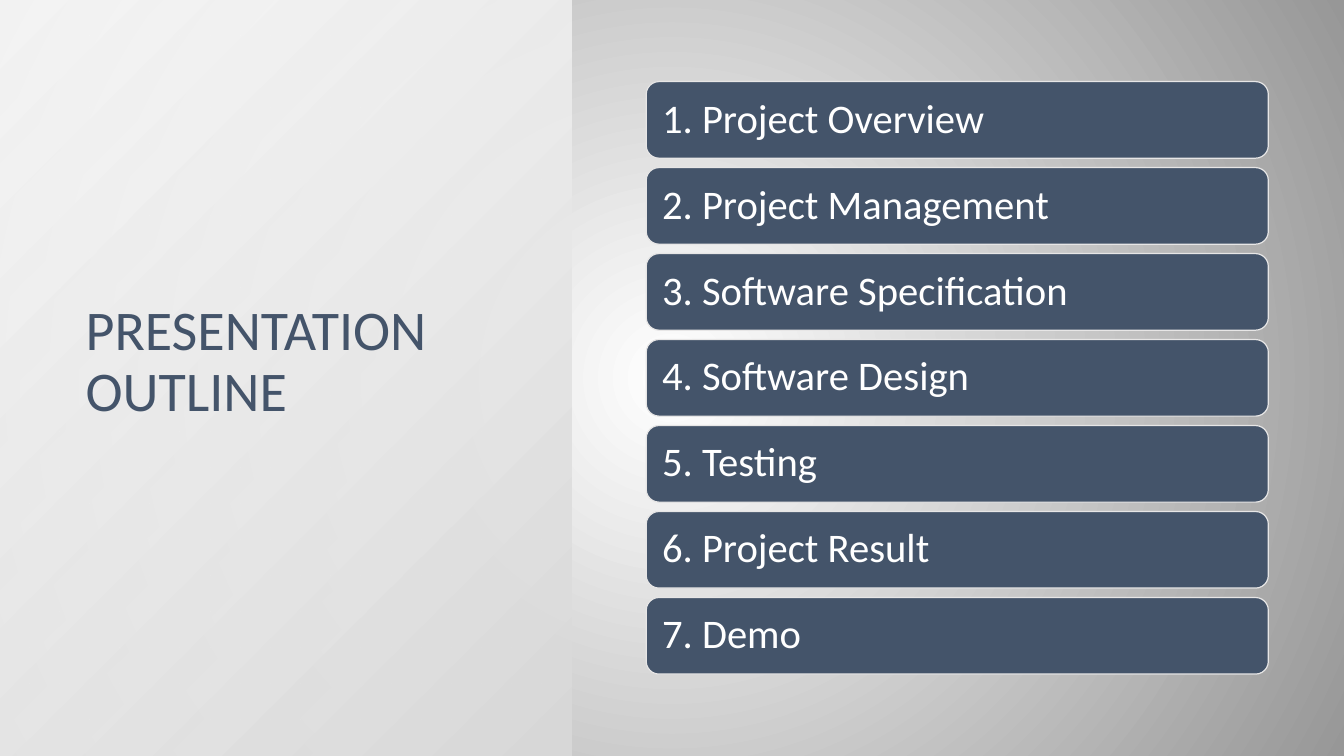
"""Build a presentation outline slide with a title panel and seven topic bars."""
import pptx
import pptx.dml.color
import pptx.enum.shapes
import pptx.enum.text
import pptx.oxml
import pptx.oxml.ns
import pptx.util
from pptx.util import Inches, Pt

NAVY, WHITE, PALE = "44546A", "FFFFFF", "E7E6E6"
TOPICS = ["Project Overview", "Project Management", "Software Specification",
          "Software Design", "Testing", "Project Result", "Demo"]
BAR_LEFT, BAR_TOP, BAR_WIDTH, BAR_HEIGHT, BAR_PITCH = 6.41, 0.81, 6.17, 0.76, 0.853


def color(value):
    """Turn a hex string into an RGB colour."""
    return pptx.dml.color.RGBColor.from_string(value)


def set_radial(element, stops, focus):
    """Replace the first solid fill in an element by a circular gradient."""
    marks = "".join(
        f'<a:gs pos="{pos * 1000}"><a:srgbClr val="{rgb}">'
        f'<a:alpha val="{alpha * 1000}"/></a:srgbClr></a:gs>'
        for pos, rgb, alpha in stops)
    sides = " ".join(f'{side}="{share * 1000}"' for side, share in zip("ltrb", focus))
    grad = pptx.oxml.parse_xml(
        f'<a:gradFill {pptx.oxml.ns.nsdecls("a")} rotWithShape="1"><a:gsLst>{marks}</a:gsLst>'
        f'<a:path path="circle"><a:fillToRect {sides}/></a:path></a:gradFill>')
    solid = next(element.iter(pptx.oxml.ns.qn("a:solidFill")))
    solid.getparent().replace(solid, grad)


def write_text(sp, text, size, rgb, anchor, inset):
    """Fill a shape with one left-aligned paragraph."""
    tf = sp.text_frame
    tf.word_wrap = True
    tf.auto_size = pptx.enum.text.MSO_AUTO_SIZE.NONE
    tf.vertical_anchor = anchor
    tf.margin_left = tf.margin_right = Inches(inset)
    p = tf.paragraphs[0]
    p.text = text
    p.alignment = pptx.enum.text.PP_ALIGN.LEFT
    p.line_spacing = 0.9
    p.font.name, p.font.size, p.font.color.rgb = "Calibri", Pt(size), color(rgb)


def add_block(s, kind, box, fill):
    """Add a plain filled shape without shadow or outline."""
    sp = s.shapes.add_shape(kind, *map(Inches, box))
    sp.shadow.inherit = False
    sp.fill.solid()
    sp.fill.fore_color.rgb = color(fill)
    sp.line.fill.background()
    return sp


def add_panel(s, height):
    """Add the light panel behind the title."""
    sp = add_block(s, pptx.enum.shapes.MSO_SHAPE.RECTANGLE, (0, 0, 5.67, height), WHITE)
    set_radial(sp._element, [(0, "D9D9D9", 100), (100, WHITE, 89)], (100, 100, 0, 0))
    s.shapes._spTree.insert(2, sp._element)


def add_bar(s, row, topic):
    """Add one numbered topic bar in the given row."""
    box = (BAR_LEFT, BAR_TOP + row * BAR_PITCH, BAR_WIDTH, BAR_HEIGHT)
    sp = add_block(s, pptx.enum.shapes.MSO_SHAPE.ROUNDED_RECTANGLE, box, NAVY)
    sp.line.color.rgb = color(PALE)
    sp.line.width = Pt(0.85)
    write_text(sp, f"{row + 1}. {topic}", 29, WHITE,
               pptx.enum.text.MSO_ANCHOR.MIDDLE, 0.12)


def set_title(s, text):
    """Place and format the slide title."""
    sp = s.shapes.title
    sp.left, sp.top, sp.width, sp.height = map(Inches, (0.75, 0.75, 4.25, 3.5))
    write_text(sp, text, 40, NAVY, pptx.enum.text.MSO_ANCHOR.BOTTOM, 0.1)


def main():
    """Build and save the slide."""
    prs = pptx.Presentation()
    prs.slide_width, prs.slide_height = Inches(13.33), Inches(7.5)
    s = prs.slides.add_slide(prs.slide_layouts[5])
    s.background.fill.solid()
    s.background.fill.fore_color.rgb = color(WHITE)
    set_radial(s._element, [(0, WHITE, 100), (100, "979797", 100)], (50, 50, 50, 50))
    add_panel(s, 7.5)
    set_title(s, "PRESENTATION OUTLINE")
    for row, topic in enumerate(TOPICS):
        add_bar(s, row, topic)
    prs.save("out.pptx")


if __name__ == "__main__":
    main()
